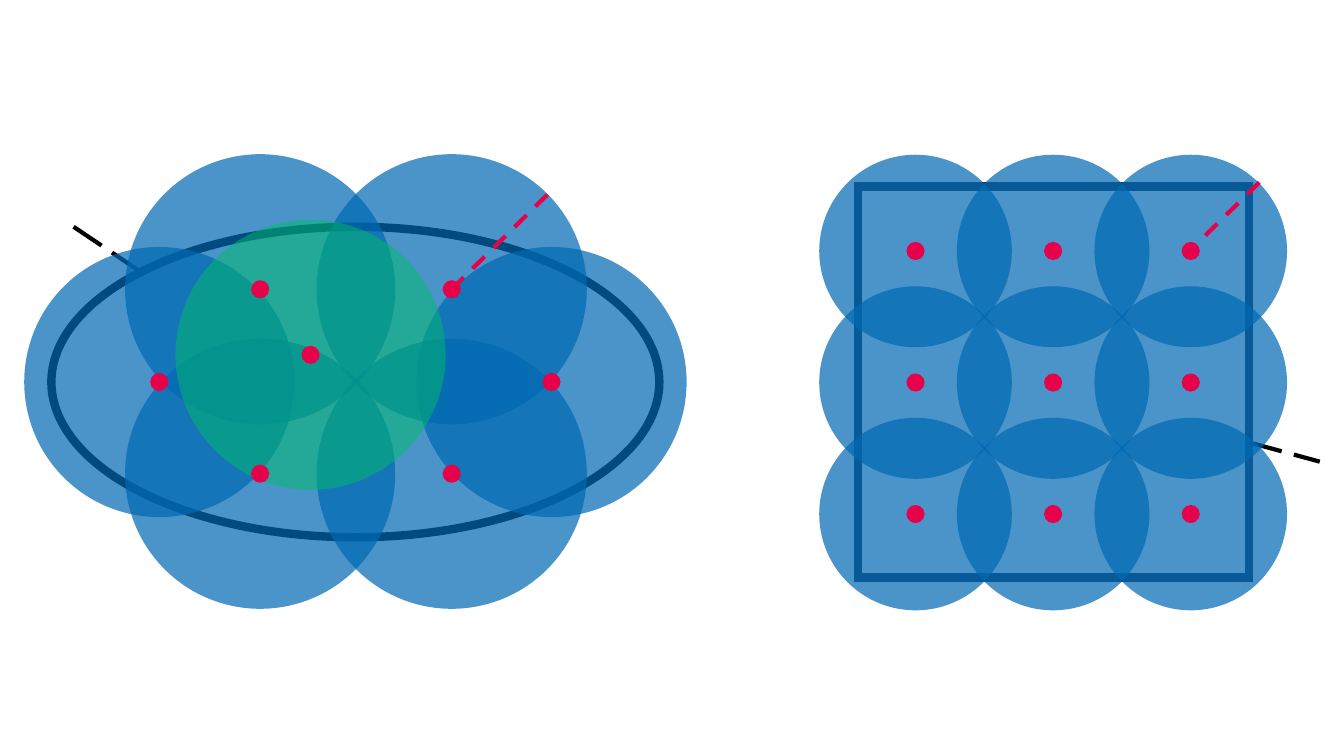
"""Draw an ellipse and a square, each covered by overlapping discs with marked centres."""
from itertools import product

from lxml.etree import SubElement
from pptx import Presentation
from pptx.dml.color import RGBColor
from pptx.enum.dml import MSO_LINE as Dash
from pptx.enum.shapes import MSO_CONNECTOR as Connector, MSO_SHAPE as Shape
from pptx.oxml.ns import qn
from pptx.util import Inches, Pt


def colour(hex_code):
    return RGBColor.from_string(hex_code)


class CoverDrawing:
    BLUE, GREEN, RED = "0069B3", "00BD67", "E7004A"
    BLACK, NAVY = "000000", "1E3256"
    DOT = 0.18

    def __init__(self, slide):
        self.slide = slide
        self.group = None

    def start_group(self):
        self.group = self.slide.shapes.add_group_shape()

    def outline(self, kind, left, top, width, height, line):
        border = self.group.shapes.add_shape(kind, *map(Inches, (left, top, width, height)))
        border.shadow.inherit = False
        border.fill.background()
        border.line.color.rgb = colour(line)
        border.line.width = Pt(6)
        SubElement(border.line._get_or_add_ln(), qn("a:miter"), lim="800000")

    def disc(self, centre, diameter, fill, opacity=100):
        x, y = centre
        left, top = x - diameter / 2, y - diameter / 2
        circle = self.group.shapes.add_shape(
            Shape.OVAL, Inches(left), Inches(top), Inches(diameter), Inches(diameter))
        circle.shadow.inherit = False
        circle.fill.solid()
        circle.fill.fore_color.rgb = colour(fill)
        circle.line.fill.background()
        if opacity < 100:
            tint = circle.fill._xPr.find(qn("a:solidFill"))[0]
            SubElement(tint, qn("a:alpha"), val=str(opacity * 1000))

    def dot(self, centre):
        self.disc(centre, self.DOT, self.RED)

    def dashed_line(self, start, end, line, dash):
        segment = self.group.shapes.add_connector(
            Connector.STRAIGHT, *map(Inches, (*start, *end)))
        segment.line.color.rgb = colour(line)
        segment.line.width = Pt(3)
        segment.line.dash_style = dash
        SubElement(segment._element.spPr, qn("a:effectLst"))

    def cover(self, centres, diameter):
        for centre in centres:
            self.disc(centre, diameter, self.BLUE, 71)


def draw_ellipse_cover(drawing):
    diameter = 2.68
    centres = [(1.58, 3.79), (2.58, 2.87), (4.48, 2.87),
               (5.47, 3.79), (4.48, 4.7), (2.58, 4.7)]
    extra_centre = (3.08, 3.52)
    drawing.start_group()
    drawing.outline(Shape.OVAL, 0.51, 2.25, 6.03, 3.08, drawing.BLACK)
    drawing.dashed_line((0.73, 2.25), (1.4, 2.7), drawing.BLACK, Dash.LONG_DASH)
    drawing.cover(centres, diameter)
    drawing.disc(extra_centre, diameter, drawing.GREEN, 50)
    for centre in centres + [extra_centre]:
        drawing.dot(centre)
    drawing.dashed_line((5.43, 1.93), (4.54, 2.81), drawing.RED, Dash.DASH)


def draw_square_cover(drawing):
    columns = [9.08 + 1.365 * step for step in range(3)]
    rows = [2.49 + 1.305 * step for step in range(3)]
    centres = [(x, y) for y, x in product(reversed(rows), reversed(columns))]
    drawing.start_group()
    drawing.outline(Shape.RECTANGLE, 8.51, 1.85, 3.88, 3.88, drawing.NAVY)
    drawing.dashed_line((12.39, 4.39), (13.09, 4.58), drawing.BLACK, Dash.LONG_DASH)
    drawing.cover(centres, 1.91)
    for centre in centres:
        drawing.dot(centre)
    drawing.dashed_line((12.49, 1.81), (11.87, 2.42), drawing.RED, Dash.DASH)


def main():
    deck = Presentation()
    deck.slide_width, deck.slide_height = Inches(13.33), Inches(7.5)
    drawing = CoverDrawing(deck.slides.add_slide(deck.slide_layouts[6]))
    draw_ellipse_cover(drawing)
    draw_square_cover(drawing)
    deck.save("out.pptx")


if __name__ == "__main__":
    main()
